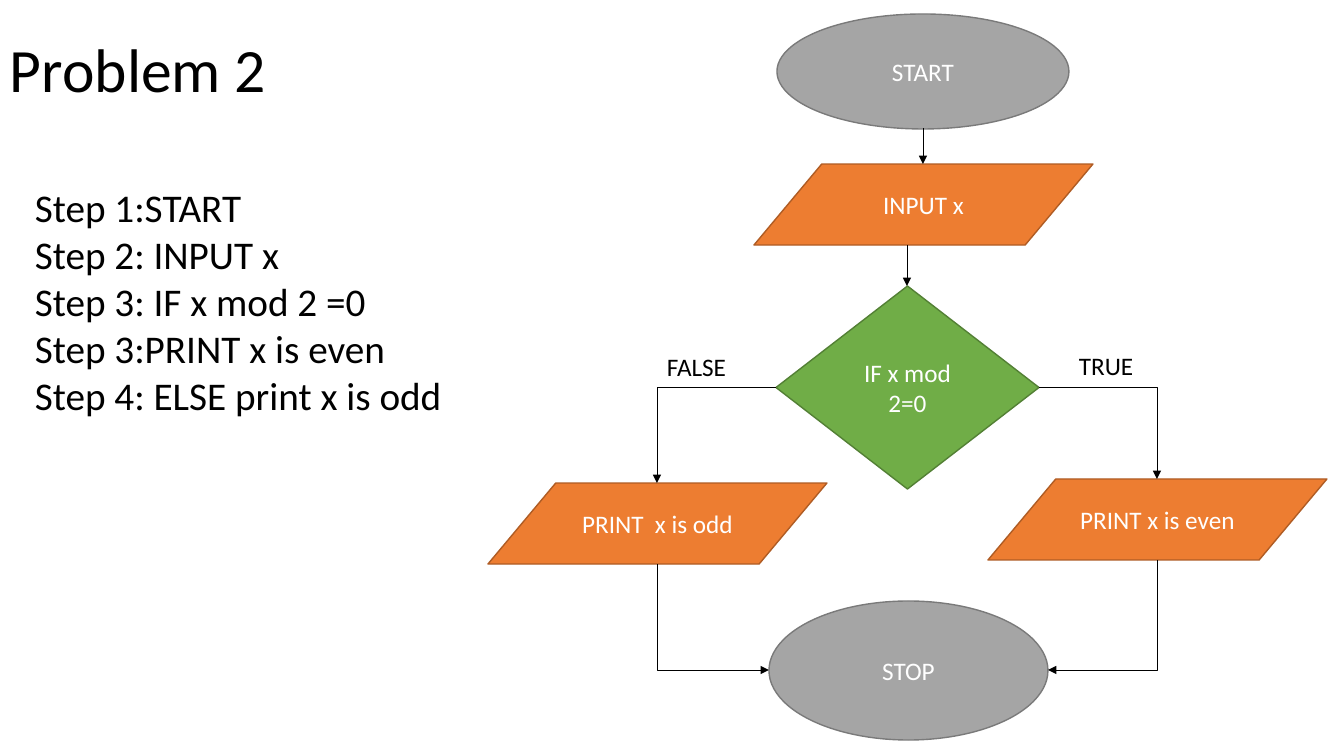
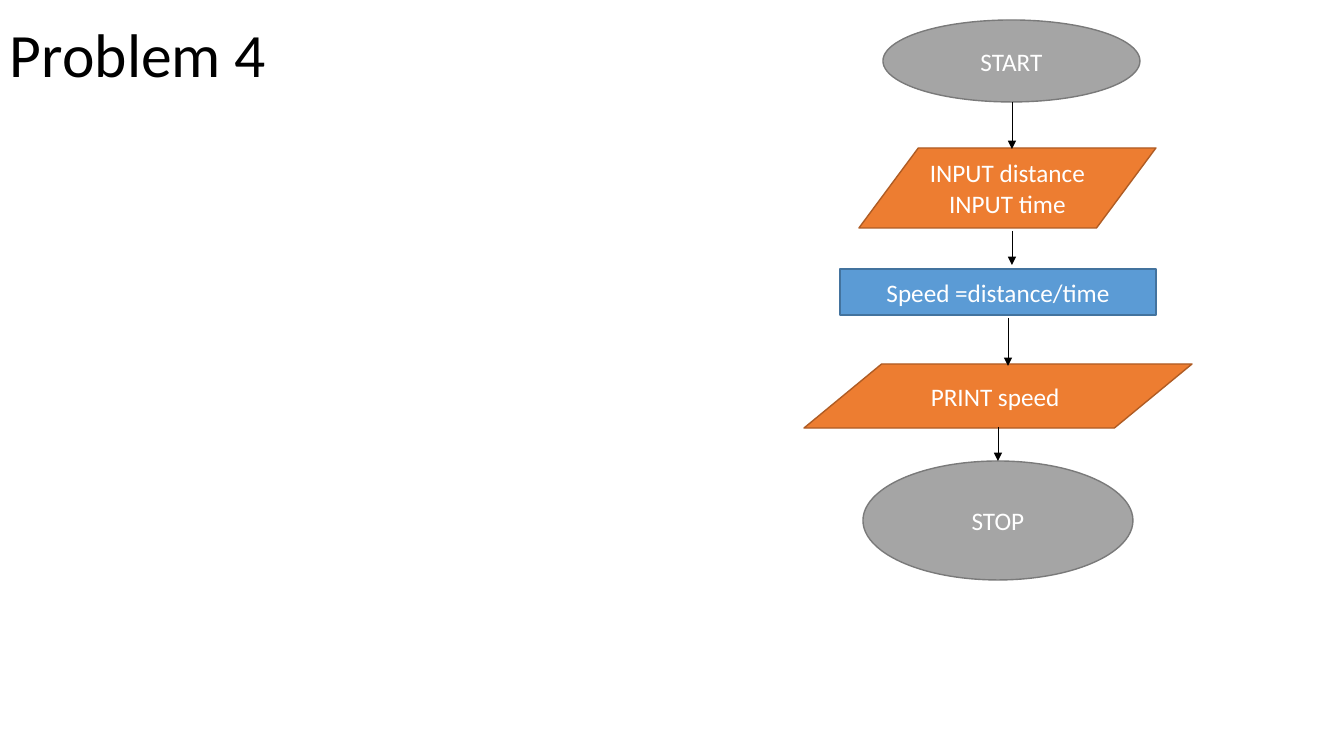
"""Build two slides with flowcharts for a parity test and a speed calculation."""
from lxml.etree import SubElement
from pptx import Presentation
from pptx.dml.color import RGBColor
from pptx.enum.shapes import MSO_CONNECTOR, MSO_SHAPE
from pptx.enum.text import MSO_ANCHOR, PP_ALIGN
from pptx.oxml.ns import qn
from pptx.util import Pt

COLOURS = {
    "text": "000000", "label": "FFFFFF", "arrow": "000000",
    "terminal": "A5A5A5", "terminal line": "7A7A7A",
    "data": "ED7D31", "data line": "AF5C24",
    "decision": "70AD47", "decision line": "538035",
    "process": "5B9BD5", "process line": "43739E",
}
FONT = "Calibri"
OUTLINES = {
    "terminal": MSO_SHAPE.OVAL,
    "data": MSO_SHAPE.FLOWCHART_DATA,
    "decision": MSO_SHAPE.FLOWCHART_DECISION,
    "process": MSO_SHAPE.RECTANGLE,
}
SLIDES = [
    {
        "title": ("Problem 2", 0),
        "texts": [
            ("Step 1:START\nStep 2: INPUT x\nStep 3: IF x mod 2 =0\n"
             "Step 3:PRINT x is even\nStep 4: ELSE print x is odd",
             (25, 178, 581, 295), 28),
            ("TRUE", (1069, 345, 105, 40), 18),
            ("FALSE", (657, 346, 112, 41), 18),
        ],
        "nodes": [
            ("terminal", "START", (777, 14, 292, 115)),
            ("data", "INPUT x", (754, 164, 339, 81)),
            ("decision", "IF x mod 2=0", (776, 286, 263, 203)),
            ("data", "PRINT  x is odd", (488, 483, 339, 81)),
            ("data", "PRINT x is even", (988, 479, 339, 81)),
            ("terminal", "STOP", (769, 601, 279, 139)),
        ],
        "arrows": [
            ("straight", (923, 128), (923, 164)),
            ("straight", (907, 245), (907, 286)),
            ("across first", (1039, 387), (1157, 479)),
            ("across first", (776, 387), (657, 483)),
            ("down first", (657, 564), (769, 670)),
            ("down first", (1157, 560), (1048, 670)),
        ],
    },
    {
        "title": ("Problem 4", -15),
        "texts": [],
        "nodes": [
            ("terminal", "START", (883, 20, 257, 82)),
            ("data", "INPUT distance\nINPUT time", (859, 148, 297, 80)),
            ("process", "Speed =distance/time", (840, 269, 316, 46)),
            ("data", "PRINT speed ", (804, 364, 388, 64)),
            ("terminal", "STOP", (863, 461, 270, 119)),
        ],
        "arrows": [
            ("straight", (1012, 102), (1012, 149)),
            ("straight", (1012, 231), (1012, 265)),
            ("straight", (1008, 318), (1008, 366)),
            ("straight", (998, 427), (998, 461)),
        ],
    },
]


def emu(*pixels):
    return [round(pixel * 914400 / 100.8) for pixel in pixels]


def colour(name):
    return RGBColor.from_string(COLOURS[name])


def write(shape, text, size, name, align=PP_ALIGN.LEFT, anchor=MSO_ANCHOR.TOP):
    frame = shape.text_frame
    frame.word_wrap = True
    frame.vertical_anchor = anchor
    frame.text = text
    for para in frame.paragraphs:
        para.alignment = align
        for span in para.runs:
            span.font.name = FONT
            span.font.size = Pt(size)
            span.font.color.rgb = colour(name)


def add_text(page, text, place, size, anchor=MSO_ANCHOR.TOP):
    box = page.shapes.add_textbox(*emu(*place))
    write(box, text, size, "text", anchor=anchor)
    return box


def add_title(page, text, top):
    box = add_text(page, text, (0, top, 1159, 146), 44, MSO_ANCHOR.MIDDLE)
    box.text_frame.paragraphs[0].line_spacing = 0.9


def add_node(page, kind, text, place):
    node = page.shapes.add_shape(OUTLINES[kind], *emu(*place))
    node.shadow.inherit = False
    node.fill.solid()
    node.fill.fore_color.rgb = colour(kind)
    node.line.color.rgb = colour(kind + " line")
    node.line.width = Pt(1)
    write(node, text, 18, "label", PP_ALIGN.CENTER, MSO_ANCHOR.MIDDLE)


def add_arrow(page, route, start, end):
    turn, flip = 0, False
    if route == "down first":
        middle_x, middle_y = (start[0] + end[0]) / 2, (start[1] + end[1]) / 2
        half_x, half_y = abs(end[0] - start[0]) / 2, abs(end[1] - start[1]) / 2
        flip = end[0] > start[0]
        turn = 270 if flip else 90
        start = (middle_x - half_y, middle_y - half_x)
        end = (middle_x + half_y, middle_y + half_x)
        if flip:
            start, end = (end[0], start[1]), (start[0], end[1])
    kind = MSO_CONNECTOR.STRAIGHT if route == "straight" else MSO_CONNECTOR.ELBOW
    arrow = page.shapes.add_connector(kind, *emu(*start, *end))
    arrow.line.color.rgb = colour("arrow")
    arrow.line.width = Pt(0.5)
    properties = arrow._element.spPr
    if route != "straight":
        properties.find(qn("a:prstGeom")).set("prst", "bentConnector2")
        properties.find(qn("a:xfrm")).set("rot", str(turn * 60000))
    SubElement(properties.find(qn("a:ln")), qn("a:tailEnd"), type="triangle")
    SubElement(properties, qn("a:effectLst"))


deck = Presentation()
deck.slide_width, deck.slide_height = emu(1344, 756)
for content in SLIDES:
    page = deck.slides.add_slide(deck.slide_layouts[6])
    add_title(page, *content["title"])
    for text in content["texts"]:
        add_text(page, *text)
    for node in content["nodes"]:
        add_node(page, *node)
    for arrow in content["arrows"]:
        add_arrow(page, *arrow)
deck.save("out.pptx")
